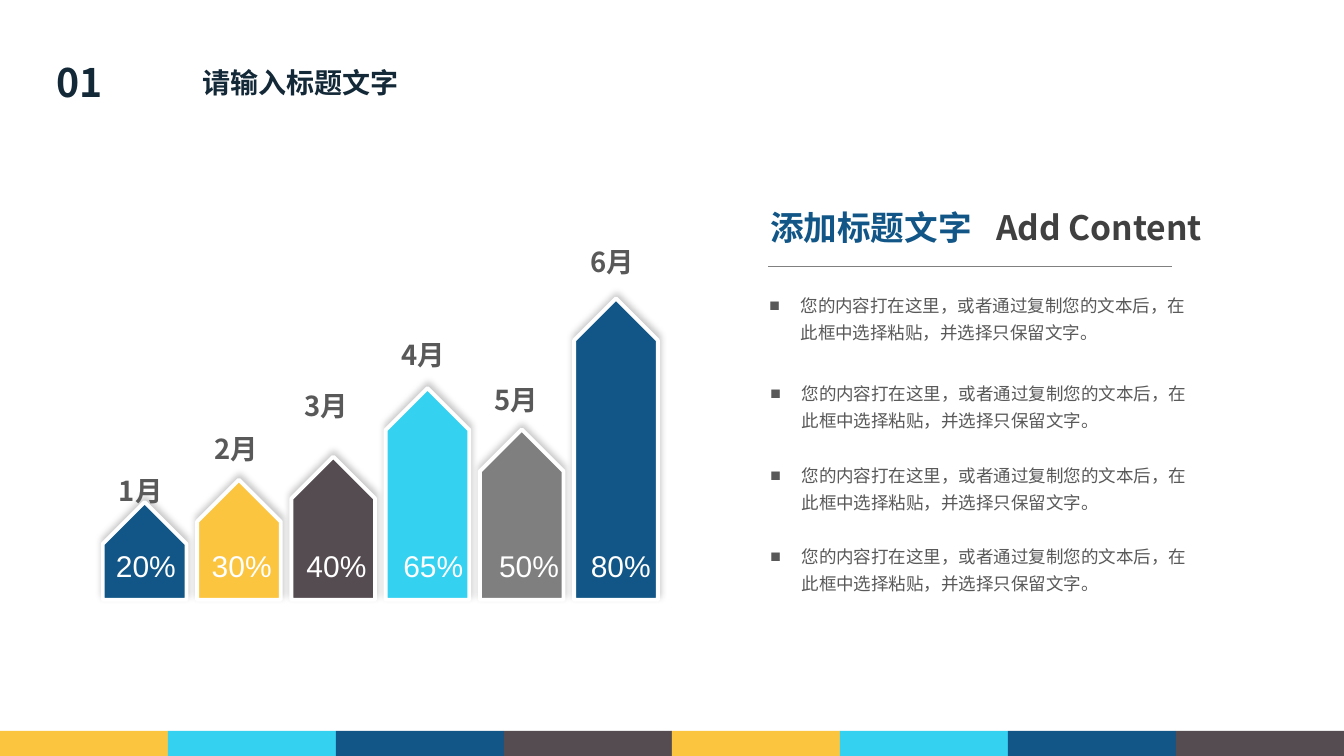
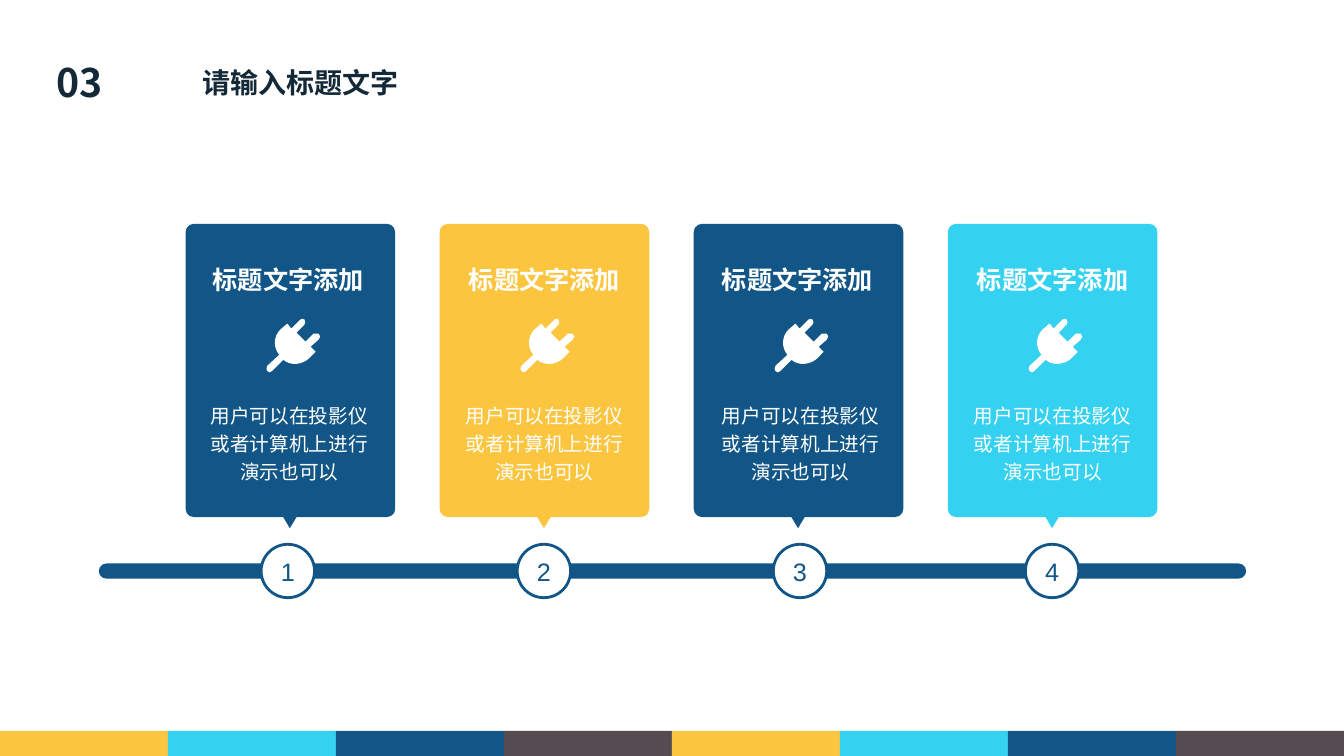
import lxml.etree
import pptx
import pptx.dml.color
import pptx.enum.shapes
import pptx.enum.text
import pptx.oxml.ns
import pptx.util

Inches = pptx.util.Inches
Pt = pptx.util.Pt
qn = pptx.oxml.ns.qn
Kind = pptx.enum.shapes.MSO_SHAPE
Align = pptx.enum.text.PP_ALIGN
Fit = pptx.enum.text.MSO_AUTO_SIZE

WIDTH, HEIGHT = 13.33, 7.5
SANS, ARIAL = "Noto Sans CJK SC", "Arial"
HUES = {
    "gold": "FCC540", "sky": "35D1F1", "blue": "115686", "plum": "554C51",
    "gray": "7F7F7F", "rule": "808080", "ink": "142938", "text": "595959",
    "dark": "404040", "white": "FFFFFF", "black": "000000",
}
BAND = ["gold", "sky", "blue", "plum"] * 2
TITLE = "请输入标题文字"
POINT = "您的内容打在这里，或者通过复制您的文本后，在此框中选择粘贴，并选择只保留文字。"
HEAD = "标题文字添加"
BODY = "用户可以在投影仪或者计算机上进行演示也可以"
BARS = [
    ("1月", "20%", "blue", 0.97, (1.05, 4.63), 1.02),
    ("2月", "30%", "gold", 1.19, (2, 4.22), 1.97),
    ("3月", "40%", "plum", 1.42, (2.89, 3.79), 2.91),
    ("4月", "65%", "sky", 2.1, (3.85, 3.28), 3.87),
    ("5月", "50%", "gray", 1.69, (4.77, 3.73), 4.82),
    ("6月", "80%", "blue", 2.99, (5.73, 2.36), 5.73),
]
CARDS = [
    ("blue", 0.75, 0.06, 0.02),
    ("gold", 0.77, 0.07, 0.04),
    ("blue", 0.79, 0.09, 0.03),
    ("sky", 0.77, 0.07, 0.04),
]
PLUG = [
    (35, 46, 24, 47, 17, 41), (6, 52), (4, 54, 3, 54, 1, 52),
    (0, 51, 0, 49, 1, 47), (13, 36), (7, 29, 7, 18, 14, 11), (21, 5),
    (25, 10), (34, 1), (34, 0, 37, 0, 38, 1), (39, 3, 39, 5, 38, 6),
    (30, 14), (39, 23), (47, 15), (49, 15, 51, 15, 52, 15),
    (54, 17, 54, 19, 52, 21), (44, 28), (49, 33),
]


def rgb(hue):
    return pptx.dml.color.RGBColor.from_string(HUES[hue])


def paint(shape, hue, edge=None, width=1):
    shape.shadow.inherit = False
    shape.fill.solid()
    shape.fill.fore_color.rgb = rgb(hue)
    if edge:
        shape.line.color.rgb = rgb(edge)
        shape.line.width = Pt(width)
    else:
        shape.line.fill.background()
    return shape


def draw(slide, kind, box, hue, edge=None, width=1):
    shape = slide.shapes.add_shape(kind, *map(Inches, box))
    return paint(shape, hue, edge, width)


def write(frame, runs, size, font=SANS, bold=False, align=None, space=None):
    para = frame.paragraphs[0]
    if align is not None:
        para.alignment = align
    if space:
        para.line_spacing = space
    for words, hue in runs:
        run = para.add_run()
        run.text = words
        run.font.size = Pt(size)
        run.font.bold = bold
        run.font.name = font
        run.font.color.rgb = rgb(hue)
        east = lxml.etree.Element(qn("a:ea"), typeface=SANS)
        run.font._element.find(qn("a:latin")).addnext(east)
    return para


def inset(frame, side, top):
    frame.margin_left = frame.margin_right = Inches(side)
    frame.margin_top = frame.margin_bottom = Inches(top)


def label(slide, box, runs, size, pad=(0.1, 0.05), wrap=True, **style):
    frame = slide.shapes.add_textbox(*map(Inches, box)).text_frame
    frame.word_wrap = wrap
    frame.auto_size = Fit.SHAPE_TO_FIT_TEXT
    inset(frame, *pad)
    return write(frame, runs, size, **style)


def cast(shape):
    effect = shape._element.spPr.find(qn("a:effectLst"))
    outer = lxml.etree.SubElement(
        effect, qn("a:outerShdw"), blurRad=str(Pt(5)), dist=str(Pt(3)),
        dir=str(275 * 60000), algn="ctr", rotWithShape="0")
    tint = lxml.etree.SubElement(outer, qn("a:srgbClr"), val=HUES["black"])
    lxml.etree.SubElement(tint, qn("a:alpha"), val="22000")


def start(deck, number):
    slide = deck.slides.add_slide(deck.slide_layouts[6])
    label(slide, (0.44, 0.53, 0.69, 0.57), [(number, "ink")], 28,
          bold=True, align=Align.CENTER)
    step = WIDTH / len(BAND)
    for i, hue in enumerate(BAND):
        draw(slide, Kind.RECTANGLE, (i * step, 7.25, step, 0.25), hue)
    label(slide, (1.91, 0.6, 2.17, 0.44), [(TITLE, "ink")], 20,
          wrap=False, bold=True)
    return slide


def arrows(slide, left, base):
    wide, step = 0.83, 0.935
    for i, (month, share, hue, tall, spot, edge) in enumerate(BARS):
        mid = left + wide / 2 + i * step
        box = (mid - tall / 2, base - tall / 2 - wide / 2, tall, wide)
        arrow = draw(slide, Kind.PENTAGON, box, hue, "white", 2.75)
        arrow.rotation = 270
        cast(arrow)
    for month, share, hue, tall, spot, edge in BARS:
        label(slide, (*spot, 0.96, 0.47), [(month, "text")], 19.6,
              pad=(0.13, 0.07), bold=True)
        label(slide, (edge, base - 0.59, 1.02, 0.5), [(share, "white")], 21.4,
              pad=(0.13, 0.07), font=ARIAL)


def bullet(slide, box):
    para = label(slide, box, [(POINT, "text")], 12.5,
                 pad=(0.15, 0.08), space=1.3)
    props = para._p.get_or_add_pPr()
    props.set("marL", str(Inches(0.31)))
    props.set("indent", str(Inches(-0.31)))
    lxml.etree.SubElement(props, qn("a:buFont"), typeface=ARIAL)
    lxml.etree.SubElement(props, qn("a:buChar"), char="■")


def points(slide, left, top):
    rule = slide.shapes.add_connector(
        pptx.enum.shapes.MSO_CONNECTOR.STRAIGHT,
        Inches(left + 0.12), Inches(top + 0.64),
        Inches(left + 4.12), Inches(top + 0.64))
    rule.line.color.rgb = rgb("rule")
    rule.line.width = Pt(0.5)
    lxml.etree.SubElement(rule._element.spPr, qn("a:effectLst"))
    para = label(slide, (left + 0.04, top, 4.91, 0.5),
                 [("添加标题文字\t", "blue"), ("Add Content", "dark")],
                 24, bold=True)
    tabs = lxml.etree.SubElement(para._p.get_or_add_pPr(), qn("a:tabLst"))
    lxml.etree.SubElement(tabs, qn("a:tab"), pos=str(Inches(2.24)), algn="l")
    for shift, drop in ((-0.02, 0.78), (-0.01, 1.66), (-0.01, 2.47), (-0.01, 3.27)):
        bullet(slide, (left + shift, top + drop, 4.49, 0.67))


def plug(slide, left, top):
    ends = [(42, 40)] + [part[-2:] for part in PLUG]
    dots = [(Inches(x / 100), Inches(y / 100)) for x, y in ends]
    form = slide.shapes.build_freeform(*dots[0])
    form.add_line_segments(dots[1:], close=True)
    shape = form.convert_to_shape(Inches(left), Inches(top))
    paint(shape, "white")
    near = min(x for x, y in dots)
    high = min(y for x, y in dots)
    sides = list(shape._element.iter(qn("a:lnTo")))
    for side, part in zip(sides, PLUG):
        if len(part) == 6:
            curve = lxml.etree.Element(qn("a:cubicBezTo"))
            for x, y in zip(part[::2], part[1::2]):
                lxml.etree.SubElement(
                    curve, qn("a:pt"), x=str(Inches(x / 100) - near),
                    y=str(Inches(y / 100) - high))
            side.getparent().replace(side, curve)


def card(slide, left, top, hue):
    panel = draw(slide, Kind.ROUNDED_RECTANGLE, (left, top, 2.08, 2.91), hue)
    panel.adjustments[0] = 0.04
    plug(slide, left + 0.8, top + 0.94)
    tip = draw(slide, Kind.ISOSCELES_TRIANGLE,
               (left + 0.85, top + 2.71, 0.37, 0.31), hue)
    tip.rotation = 180


def disc(slide, left, top, number):
    shape = draw(slide, Kind.OVAL, (left, top, 0.53, 0.53), "white", "blue", 2)
    frame = shape.text_frame
    frame.word_wrap = False
    frame.vertical_anchor = pptx.enum.text.MSO_ANCHOR.MIDDLE
    inset(frame, 0, 0)
    write(frame, [(number, "blue")], 18, font=ARIAL, align=Align.CENTER)


def steps(slide, left, top):
    track = draw(slide, Kind.ROUNDED_RECTANGLE,
                 (left - 0.86, top + 3.37, 11.38, 0.15), "blue")
    track.adjustments[0] = 0.5
    style = {"font": ARIAL, "align": Align.CENTER, "space": 1.2}
    for i, (hue, ring, body, head) in enumerate(CARDS):
        edge = left + 2.52 * i
        card(slide, edge, top, hue)
        disc(slide, edge + ring, top + 3.18, str(i + 1))
        label(slide, (edge + body, top + 1.69, 1.94, 0.95),
              [(BODY, "white")], 14, **style)
        label(slide, (edge + head, top + 0.29, 2, 0.46),
              [(HEAD, "white")], 18, bold=True, **style)


def main():
    deck = pptx.Presentation()
    deck.slide_width = Inches(WIDTH)
    deck.slide_height = Inches(HEIGHT)
    growth = start(deck, "01")
    arrows(growth, 1.02, 5.95)
    points(growth, 7.5, 2)
    steps(start(deck, "03"), 1.84, 2.22)
    deck.save("out.pptx")


if __name__ == "__main__":
    main()
